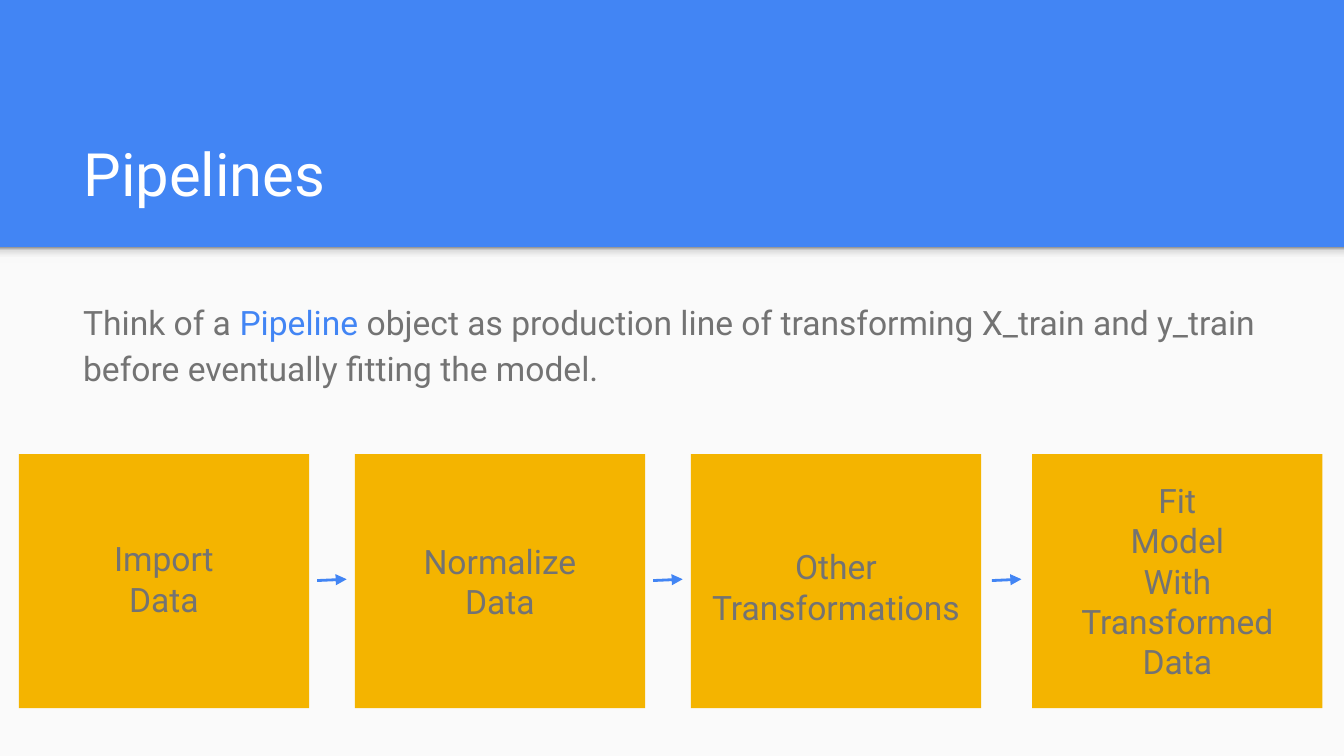
import dataclasses

import lxml.etree
import pptx
import pptx.dml.color
import pptx.enum.shapes
import pptx.enum.text
import pptx.oxml
import pptx.oxml.ns
import pptx.util

Inches = pptx.util.Inches
ANCHOR = pptx.enum.text.MSO_ANCHOR
ALIGN = pptx.enum.text.PP_ALIGN


@dataclasses.dataclass(frozen=True)
class Theme:
    font: str = "Roboto"
    title_size: int = 32
    text_size: int = 18
    blue: str = "4285F4"
    paper: str = "FAFAFA"
    white: str = "FFFFFF"
    gray: str = "737373"
    amber: str = "F4B400"
    edge_stops: tuple = ((0, "F9F9F9"), (36, "F9F9F9"), (80, "DEDEDE"), (100, "999999"))


THEME = Theme()
WIDTH = 10
HEIGHT = WIDTH * 9 / 16
HEADER_HEIGHT = 1.84
MARGIN, TEXT_WIDTH, TEXT_HEIGHT = 0.52, 8.99, 0.84

# Process row: one column per step
PITCH, FIRST_LEFT = 2.5, 0.14
BOX_TOP, BOX_WIDTH, BOX_HEIGHT = 3.38, 2.16, 1.89
LABEL_INSET, LABEL_TOP = 0.04, 3.47
ARROW_LENGTH, ARROW_Y = 0.22, 4.32

# Label paragraphs, label height, anchor, shift from the regular column
STEPS = [
    (("Import", "Data"), 1.67, ANCHOR.MIDDLE, 0),
    (("Normalize", "Data"), 1.71, ANCHOR.MIDDLE, 0),
    (("Other", "Transformations"), 1.79, ANCHOR.MIDDLE, 0),
    (("Fit", "Model", "With Transformed Data"), 1.71, ANCHOR.TOP, 0.04),
]


def rgb(value):
    return pptx.dml.color.RGBColor.from_string(value)


def place(shape, left, top, width, height):
    shape.left, shape.top = Inches(left), Inches(top)
    shape.width, shape.height = Inches(width), Inches(height)


def add_rectangle(slide, left, top, width, height, color):
    shape = slide.shapes.add_shape(
        pptx.enum.shapes.MSO_SHAPE.RECTANGLE,
        Inches(left), Inches(top), Inches(width), Inches(height))
    shape.shadow.inherit = False
    shape.fill.solid()
    shape.fill.fore_color.rgb = rgb(color)
    shape.line.fill.background()
    return shape


def set_edge_gradient(shape):
    """Fade from the dark edge at the top down into the paper."""
    shape.fill.gradient()
    shape.fill.gradient_angle = 90
    qualified = pptx.oxml.ns.qn
    stop_list = shape._element.spPr.find(".//" + qualified("a:gsLst"))
    for stop in list(stop_list):
        stop_list.remove(stop)
    for percent, color in THEME.edge_stops:
        stop = lxml.etree.SubElement(stop_list, qualified("a:gs"), pos=str(percent * 1000))
        lxml.etree.SubElement(stop, qualified("a:srgbClr"), val=color)


def format_frame(shape, anchor):
    frame = shape.text_frame
    frame.word_wrap = True
    frame.auto_size = pptx.enum.text.MSO_AUTO_SIZE.NONE
    frame.vertical_anchor = anchor
    frame.margin_left = frame.margin_right = Inches(0.1)
    frame.margin_top = frame.margin_bottom = Inches(0.1)
    return frame


def add_run(paragraph, text, color, size=THEME.text_size):
    run = paragraph.add_run()
    run.text = text
    run.font.name = THEME.font
    run.font.size = pptx.util.Pt(size)
    run.font.color.rgb = rgb(color)


def add_text_box(slide, left, top, width, height, anchor=ANCHOR.TOP):
    box = slide.shapes.add_textbox(Inches(left), Inches(top), Inches(width), Inches(height))
    return format_frame(box, anchor)


def add_title(slide, text):
    title = slide.shapes.title
    place(title, MARGIN, 0.81, TEXT_WIDTH, TEXT_HEIGHT)
    paragraph = format_frame(title, ANCHOR.BOTTOM).paragraphs[0]
    paragraph.alignment = ALIGN.LEFT
    add_run(paragraph, text, THEME.white, THEME.title_size)


def add_body(slide, runs):
    paragraph = add_text_box(slide, MARGIN, 2.1, TEXT_WIDTH, TEXT_HEIGHT).paragraphs[0]
    paragraph.line_spacing = 1.15
    paragraph.space_after = pptx.util.Pt(16)
    for text, color in runs:
        add_run(paragraph, text, color)


def add_step(slide, left, lines, label_height, anchor):
    add_rectangle(slide, left, BOX_TOP, BOX_WIDTH, BOX_HEIGHT, THEME.amber)
    frame = add_text_box(slide, left + LABEL_INSET, LABEL_TOP,
                         BOX_WIDTH - 2 * LABEL_INSET, label_height, anchor)
    for index, line in enumerate(lines):
        paragraph = frame.add_paragraph() if index else frame.paragraphs[0]
        paragraph.alignment = ALIGN.CENTER
        add_run(paragraph, line, THEME.gray)


def add_arrow(slide, center):
    half = ARROW_LENGTH / 2
    arrow = slide.shapes.add_connector(
        pptx.enum.shapes.MSO_CONNECTOR.STRAIGHT,
        Inches(center - half), Inches(ARROW_Y),
        Inches(center + half), Inches(ARROW_Y - 0.01))
    arrow.line.color.rgb = rgb(THEME.blue)
    arrow.line.width = pptx.util.Pt(1.5)
    qualified = pptx.oxml.ns.qn
    lxml.etree.SubElement(arrow.line._get_or_add_ln(), qualified("a:tailEnd"), type="triangle")
    lxml.etree.SubElement(arrow._element.spPr, qualified("a:effectLst"))


def main():
    presentation = pptx.Presentation()
    presentation.slide_width, presentation.slide_height = Inches(WIDTH), Inches(HEIGHT)
    slide = presentation.slides.add_slide(presentation.slide_layouts[5])

    # Blue header above a light panel with a soft edge
    slide.background.fill.solid()
    slide.background.fill.fore_color.rgb = rgb(THEME.blue)
    add_rectangle(slide, 0, HEADER_HEIGHT, WIDTH, HEIGHT - HEADER_HEIGHT, THEME.paper)
    set_edge_gradient(add_rectangle(slide, 0, HEADER_HEIGHT, WIDTH, 0.12, THEME.paper))

    # Title and explanation
    add_title(slide, "Pipelines")
    add_body(slide, [
        ("Think of a ", THEME.gray),
        ("Pipeline ", THEME.blue),
        ("object as production line of transforming X_train and y_train "
         "before eventually fitting the model.", THEME.gray),
    ])

    # Steps, with an arrow centred in each gap
    lefts = [FIRST_LEFT + PITCH * column + step[3] for column, step in enumerate(STEPS)]
    for left, (lines, label_height, anchor, _) in zip(lefts, STEPS):
        add_step(slide, left, lines, label_height, anchor)
    for left, next_left in zip(lefts, lefts[1:]):
        add_arrow(slide, (left + BOX_WIDTH + next_left) / 2)

    presentation.save("out.pptx")


if __name__ == "__main__":
    main()
